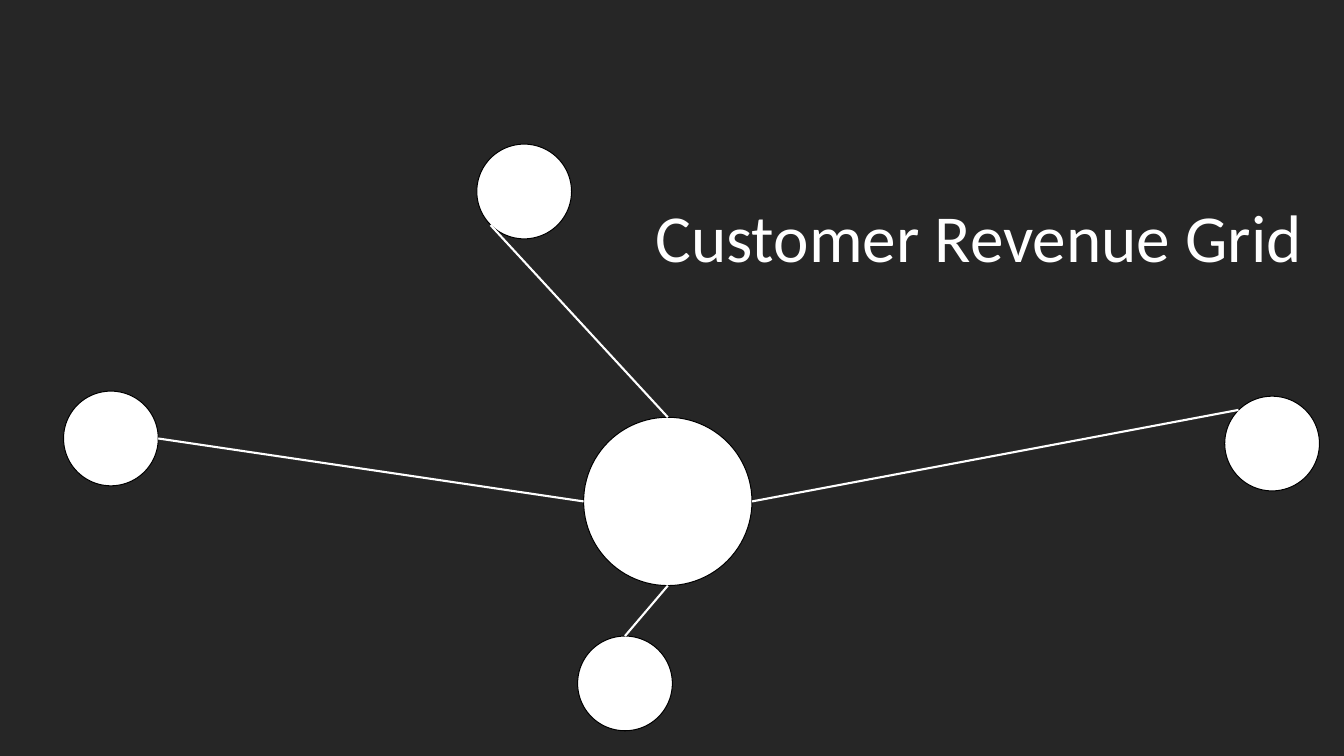
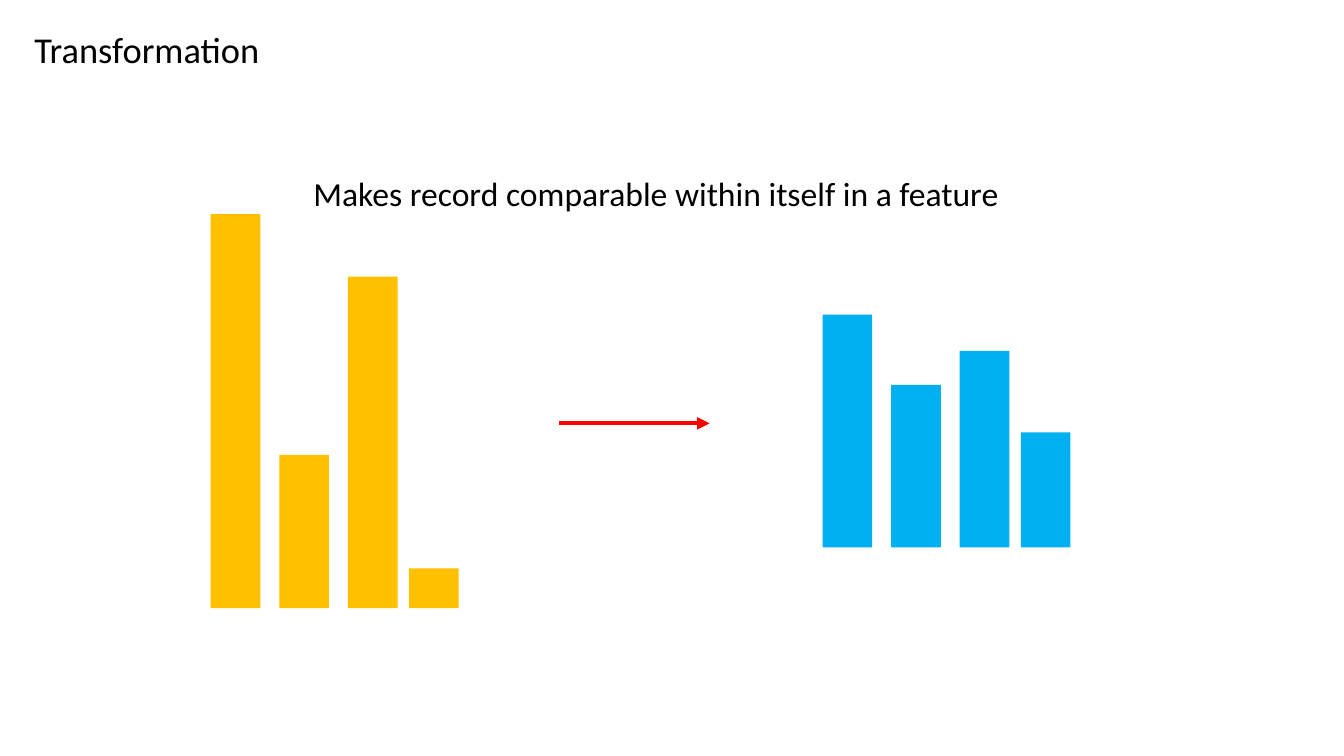
from dataclasses import dataclass

from lxml import etree
from pptx import Presentation
from pptx.dml.color import RGBColor
from pptx.enum.shapes import MSO_CONNECTOR, MSO_SHAPE
from pptx.enum.text import MSO_ANCHOR, MSO_AUTO_SIZE, PP_ALIGN
from pptx.oxml.ns import qn
from pptx.util import Inches, Pt

STRAIGHT = MSO_CONNECTOR.STRAIGHT
OVAL, RECTANGLE = MSO_SHAPE.OVAL, MSO_SHAPE.RECTANGLE
TOP, LEFT, NO_FIT = MSO_ANCHOR.TOP, PP_ALIGN.LEFT, MSO_AUTO_SIZE.NONE


@dataclass(frozen=True)
class Theme:
    font: str = "Calibri"
    dark: RGBColor = RGBColor(0x26, 0x26, 0x26)
    white: RGBColor = RGBColor(0xFF, 0xFF, 0xFF)
    black: RGBColor = RGBColor(0, 0, 0)
    raw: RGBColor = RGBColor(0xFF, 0xC0, 0x00)
    scaled: RGBColor = RGBColor(0x00, 0xB0, 0xF0)
    change: RGBColor = RGBColor(0xFF, 0, 0)
    cover_size: Pt = Pt(48)
    title_size: Pt = Pt(26)
    caption_size: Pt = Pt(24)
    outline: Pt = Pt(0.75)
    link: Pt = Pt(1.5)
    arrow: Pt = Pt(3)


theme = Theme()
deck = Presentation()
deck.slide_width, deck.slide_height = Inches(13.33), Inches(7.5)
COL, ROW = deck.slide_width / 100, deck.slide_height / 100
TITLE_ONLY = deck.slide_layouts[5]


def write(holder, words, area, size, color):
    left, top, width, height = area
    holder.left, holder.top = round(left * COL), round(top * ROW)
    holder.width, holder.height = round(width * COL), round(height * ROW)
    frame = holder.text_frame
    frame.word_wrap = False
    frame.auto_size = NO_FIT
    frame.vertical_anchor = TOP
    paragraph = frame.paragraphs[0]
    paragraph.alignment = LEFT
    run = paragraph.add_run()
    run.text = words
    run.font.name, run.font.size = theme.font, size
    run.font.color.rgb = color


def connect(slide, start, end, color, weight):
    connector = slide.shapes.add_connector(
        STRAIGHT, *(round(value) for value in (*start, *end)))
    connector.line.color.rgb = color
    connector.line.width = weight
    etree.SubElement(connector._element.spPr, qn("a:effectLst"))
    return connector


cover = deck.slides.add_slide(TITLE_ONLY)
cover.background.fill.solid()
cover.background.fill.fore_color.rgb = theme.dark
write(cover.shapes.title, "Customer Revenue Grid", (48, 25.2, 50.18, 12.13),
      theme.cover_size, theme.white)

NODE, HUB = 7.05 * COL, 12.53 * COL
hub_x, hub_y = 49.69 * COL, 66.33 * ROW
DIAGONAL = 0.71
satellites = [
    (8.25, 58, (1, 0), (-1, 0)),
    (46.5, 90.4, (0, -1), (0, 1)),
    (94.65, 58.67, (-DIAGONAL, -DIAGONAL), (1, 0)),
    (39, 25.33, (-DIAGONAL, DIAGONAL), (0, -1)),
]
circles = [(col * COL, row * ROW, NODE) for col, row, *_ in satellites]
for x, y, diameter in circles + [(hub_x, hub_y, HUB)]:
    circle = cover.shapes.add_shape(
        OVAL, round(x - diameter / 2), round(y - diameter / 2),
        round(diameter), round(diameter))
    circle.shadow.inherit = False
    circle.fill.solid()
    circle.fill.fore_color.rgb = theme.white
    circle.line.color.rgb = theme.black
    circle.line.width = theme.outline

for col, row, (node_dx, node_dy), (hub_dx, hub_dy) in satellites:
    connect(cover,
            (col * COL + node_dx * NODE / 2, row * ROW + node_dy * NODE / 2),
            (hub_x + hub_dx * HUB / 2, hub_y + hub_dy * HUB / 2),
            theme.white, theme.link)

transformation = deck.slides.add_slide(TITLE_ONLY)
transformation.background.fill.solid()
transformation.background.fill.fore_color.rgb = theme.white
write(transformation.shapes.title, "Transformation", (1.8, 2.93, 18.45, 7.2),
      theme.title_size, theme.black)

BAR_WIDTH = 3.7
BAR_OFFSETS = (0, 5.1, 10.2, 14.75)
bar_sets = [
    (15.68, 80.45, (52.13, 20.27, 43.87, 5.27), theme.raw),
    (61.2, 72.4, (30.8, 21.47, 26, 15.2), theme.scaled),
]
for first_col, base_row, heights, color in bar_sets:
    bars = transformation.shapes.add_group_shape()
    for offset, height in zip(BAR_OFFSETS, heights):
        bar = bars.shapes.add_shape(
            RECTANGLE, round((first_col + offset) * COL),
            round((base_row - height) * ROW),
            round(BAR_WIDTH * COL), round(height * ROW))
        bar.shadow.inherit = False
        bar.fill.solid()
        bar.fill.fore_color.rgb = color
        bar.line.fill.background()

change = connect(transformation, (41.6 * COL, 56 * ROW), (52.8 * COL, 56 * ROW),
                 theme.change, theme.arrow)
etree.SubElement(change.line._get_or_add_ln(), qn("a:tailEnd"), type="triangle")

caption = transformation.shapes.add_textbox(0, 0, 0, 0)
write(caption, "Makes record comparable within itself in a feature",
      (22.58, 22.27, 52.95, 6.67), theme.caption_size, theme.black)

deck.save("out.pptx")
